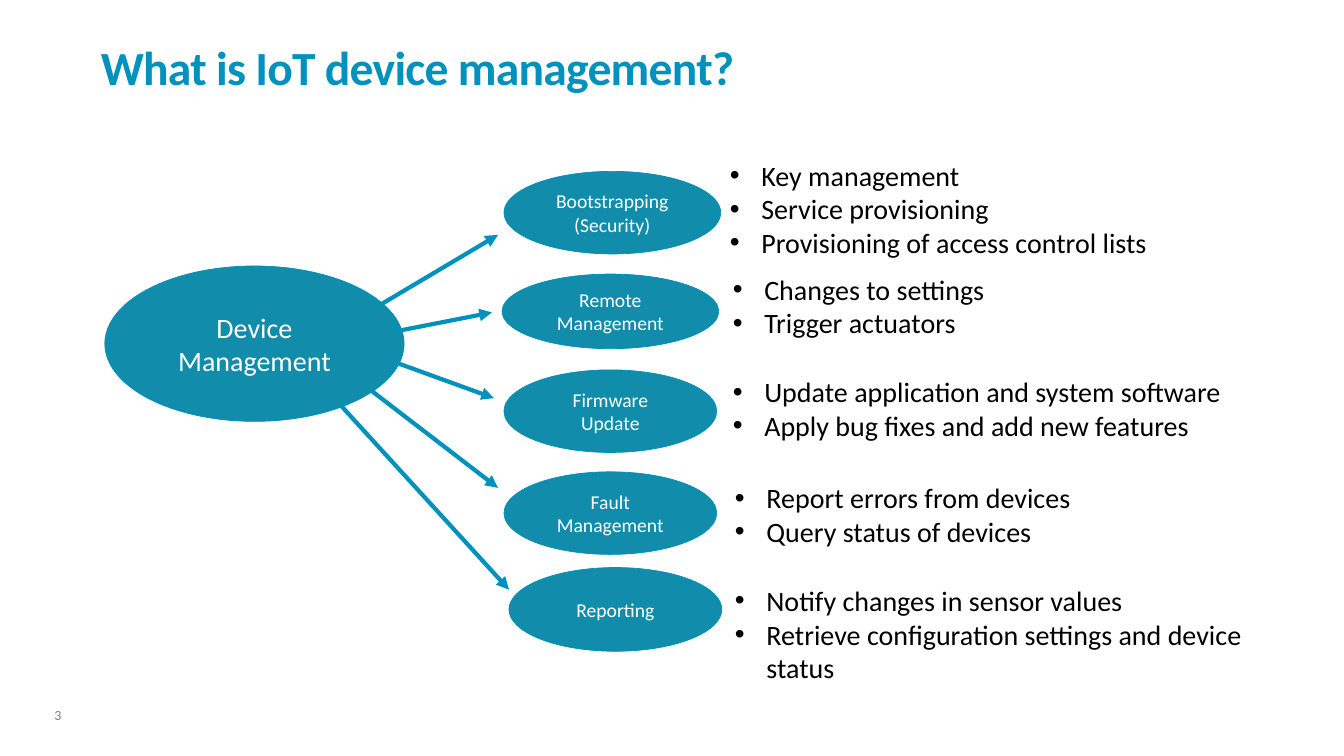
"""Build the slide on IoT device management and its five functions."""
from typing import NamedTuple

from lxml.etree import SubElement
from pptx import Presentation
from pptx.dml.color import RGBColor
from pptx.enum.shapes import MSO_CONNECTOR, MSO_SHAPE
from pptx.enum.text import MSO_ANCHOR, MSO_AUTO_SIZE, PP_ALIGN
from pptx.oxml.ns import qn
from pptx.shapes.base import BaseShape
from pptx.slide import Slide
from pptx.text.text import TextFrame, _Paragraph, _Run
from pptx.util import Pt

COLORS = {
    "accent": "0091BD",
    "ellipse": "128CAB",
    "light": "FFFFFF",
    "body": "000000",
    "number": "7F7F7F",
}
FONT = "Calibri"
INSET_X, INSET_Y = 9.4, 5
BULLET_INDENT = 22.5


class Box(NamedTuple):
    """Left, top, width and height in points."""

    left: float
    top: float
    width: float
    height: float


class Arrow(NamedTuple):
    """Start and end of an arrow in points."""

    x1: float
    y1: float
    x2: float
    y2: float


class Function(NamedTuple):
    """One device management function with its arrow and its tasks."""

    label: list[str]
    ellipse: Box
    arrow: Arrow
    tasks: list[str]
    tasks_box: Box


FUNCTIONS = [
    Function(
        ["Bootstrapping", "(Security)"],
        Box(360, 122.4, 154.8, 59),
        Arrow(272.2, 217.4, 355.7, 167.8),
        ["Key management", "Service provisioning", "Provisioning of access control lists"],
        Box(511.9, 108, 415.4, 82),
    ),
    Function(
        ["Remote Management"],
        Box(358.6, 195.8, 154.8, 53.3),
        Arrow(281.5, 236.9, 351.4, 223.2),
        ["Changes to settings", "Trigger actuators"],
        Box(514, 189.4, 339, 58.3),
    ),
    Function(
        ["Firmware Update"],
        Box(360, 264.2, 152, 59),
        Arrow(281.5, 258.5, 352.8, 284.4),
        ["Update application and system software", "Apply bug fixes and add new features"],
        Box(514, 262.8, 428.4, 58.3),
    ),
    Function(
        ["Fault Management"],
        Box(360, 337, 152, 59),
        Arrow(265.7, 279.4, 355.7, 348.5),
        ["Report errors from devices", "Query status of devices"],
        Box(515.5, 338.4, 428.4, 58.3),
    ),
    Function(
        ["Reporting"],
        Box(363.6, 405.4, 152, 59.8),
        Arrow(242.6, 288.7, 363.6, 421.2),
        ["Notify changes in sensor values", "Retrieve configuration settings and device status"],
        Box(515.5, 411.8, 428.4, 82),
    ),
]


def rgb(name: str) -> RGBColor:
    """Return a palette colour."""
    return RGBColor.from_string(COLORS[name])


def place(shape: BaseShape, box: Box) -> None:
    """Move and size a shape."""
    shape.left, shape.top, shape.width, shape.height = map(Pt, box)


def set_frame(frame: TextFrame, anchor: MSO_ANCHOR, inset_x: float, inset_y: float) -> None:
    """Set wrapping, anchor and insets of a text frame."""
    frame.word_wrap = True
    frame.auto_size = MSO_AUTO_SIZE.NONE
    frame.vertical_anchor = anchor
    frame.margin_left = frame.margin_right = Pt(inset_x)
    frame.margin_top = frame.margin_bottom = Pt(inset_y)


def add_run(paragraph: _Paragraph, text: str, size: float, color: str, bold: bool = False) -> _Run:
    """Append a formatted run."""
    run = paragraph.add_run()
    run.text = text
    run.font.name, run.font.size, run.font.bold = FONT, Pt(size), bold
    run.font.color.rgb = rgb(color)
    return run


def add_lines(frame: TextFrame, lines: list[str], size: float, color: str,
              align: PP_ALIGN) -> None:
    """Write one paragraph per line."""
    for index, line in enumerate(lines):
        paragraph = frame.add_paragraph() if index else frame.paragraphs[0]
        paragraph.alignment = align
        paragraph.space_before = Pt(0)
        add_run(paragraph, line, size, color)


def add_ellipse(slide: Slide, box: Box, label: list[str], size: float) -> None:
    """Draw a labelled ellipse."""
    ellipse = slide.shapes.add_shape(MSO_SHAPE.OVAL, *map(Pt, box))
    ellipse.shadow.inherit = False
    ellipse.fill.solid()
    ellipse.fill.fore_color.rgb = rgb("ellipse")
    ellipse.line.color.rgb = rgb("accent")
    ellipse.line.width = Pt(0.5)
    set_frame(ellipse.text_frame, MSO_ANCHOR.MIDDLE, INSET_X, INSET_Y)
    add_lines(ellipse.text_frame, label, size, "light", PP_ALIGN.CENTER)


def add_arrow(slide: Slide, arrow: Arrow) -> None:
    """Draw an arrow with a triangular head."""
    connector = slide.shapes.add_connector(MSO_CONNECTOR.STRAIGHT, *map(Pt, arrow))
    connector.line.color.rgb = rgb("accent")
    connector.line.width = Pt(3)
    SubElement(connector.line._get_or_add_ln(), qn("a:tailEnd"), type="triangle")
    SubElement(connector._element.spPr, qn("a:effectLst"))


def fill_tasks(tasks_shape: BaseShape, function: Function) -> None:
    """Write the bulleted tasks of a function."""
    place(tasks_shape, function.tasks_box)
    frame = tasks_shape.text_frame
    set_frame(frame, MSO_ANCHOR.TOP, INSET_X, INSET_Y)
    add_lines(frame, function.tasks, 20, "body", PP_ALIGN.LEFT)
    for paragraph in frame.paragraphs:
        properties = paragraph._p.get_or_add_pPr()
        properties.set("marL", str(Pt(BULLET_INDENT)))
        properties.set("indent", str(-Pt(BULLET_INDENT)))
        SubElement(properties, qn("a:buFont"), typeface="Arial")
        SubElement(properties, qn("a:buChar"), char="•")


def add_title(slide: Slide) -> None:
    """Write the slide title."""
    title = slide.shapes.title
    place(title, Box(64.8, 25.2, 797.8, 50.4))
    set_frame(title.text_frame, MSO_ANCHOR.MIDDLE, 7.2, 3.6)
    heading = title.text_frame.paragraphs[0]
    heading.alignment, heading.line_spacing = PP_ALIGN.LEFT, 0.85
    run = add_run(heading, "What is IoT device management?", 34, "accent", True)
    run.font._element.set("spc", "-50")


def add_slide_number(slide: Slide) -> None:
    """Write the slide number at the bottom left."""
    number = slide.shapes.add_textbox(*map(Pt, Box(38.9, 506.2, 24.5, 10.8)))
    set_frame(number.text_frame, MSO_ANCHOR.TOP, 0, 0)
    paragraph = number.text_frame.paragraphs[0]
    paragraph.line_spacing = 0.9
    add_run(paragraph, "3", 10, "number")


def main() -> None:
    """Build and save the presentation."""
    presentation = Presentation()
    presentation.slide_width, presentation.slide_height = Pt(960), Pt(540)
    slide = presentation.slides.add_slide(presentation.slide_layouts.get_by_name("Comparison"))
    _, *task_shapes = slide.placeholders
    task_shapes.append(slide.shapes.add_textbox(*map(Pt, FUNCTIONS[-1].tasks_box)))

    add_title(slide)
    add_ellipse(slide, Box(74.9, 190, 213.8, 111), ["Device Management"], 20)
    for function, tasks_shape in zip(FUNCTIONS, task_shapes):
        add_ellipse(slide, function.ellipse, function.label, 14)
        add_arrow(slide, function.arrow)
        fill_tasks(tasks_shape, function)
    add_slide_number(slide)
    presentation.save("out.pptx")


if __name__ == "__main__":
    main()
